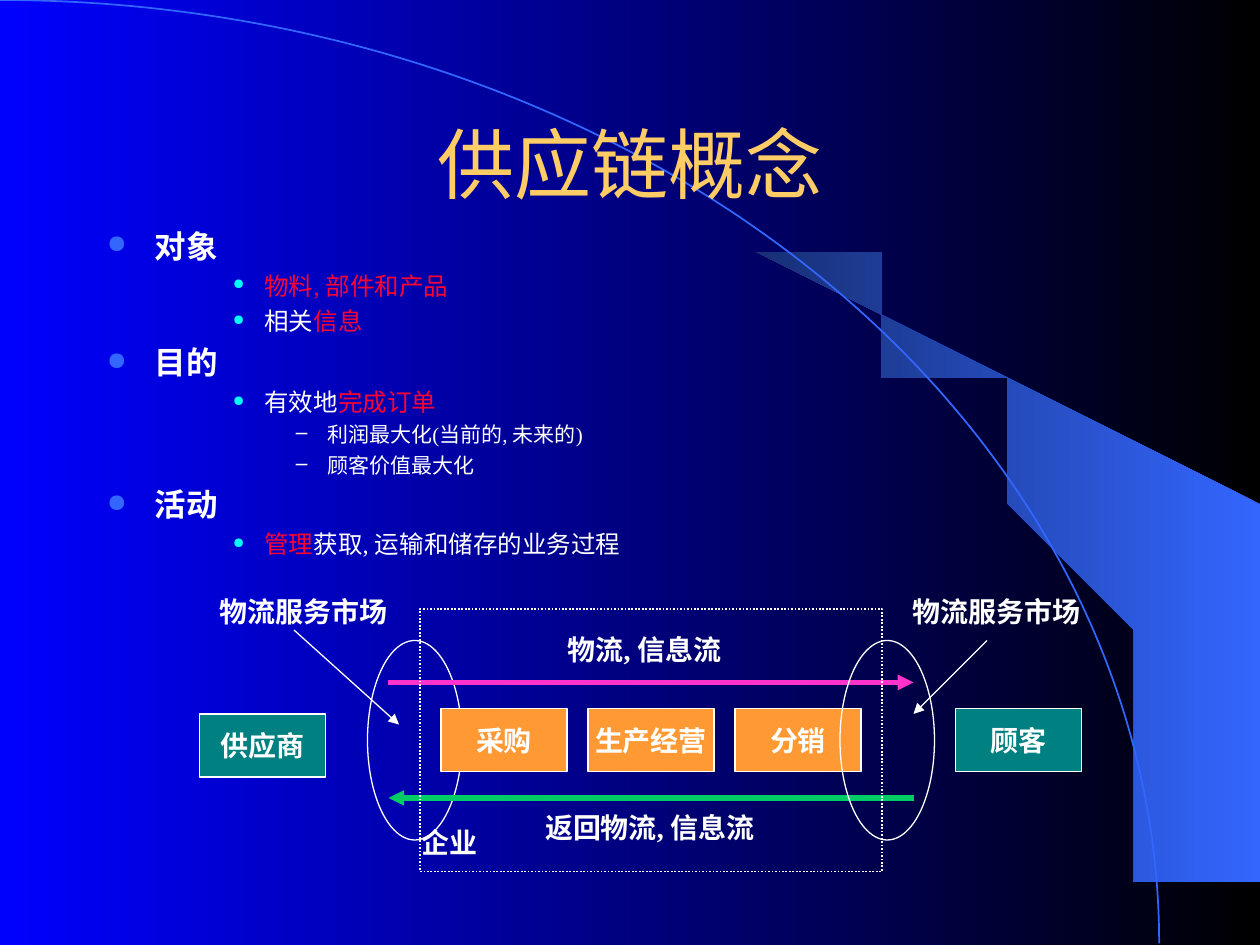
from pptx import Presentation
from pptx.dml.color import RGBColor
from pptx.enum.dml import MSO_LINE
from pptx.enum.shapes import MSO_CONNECTOR, MSO_SHAPE
from pptx.enum.text import MSO_ANCHOR, MSO_AUTO_SIZE, PP_ALIGN
from pptx.oxml.ns import qn
from pptx.util import Inches, Pt
from lxml import etree

RECTANGLE, OVAL, ARC = MSO_SHAPE.RECTANGLE, MSO_SHAPE.OVAL, MSO_SHAPE.ARC
STRAIGHT = MSO_CONNECTOR.STRAIGHT
DOTTED = MSO_LINE.ROUND_DOT
CENTER, MIDDLE = PP_ALIGN.CENTER, MSO_ANCHOR.MIDDLE
GROW = MSO_AUTO_SIZE.SHAPE_TO_FIT_TEXT

BLACK = RGBColor(0x00, 0x00, 0x00)
WHITE = RGBColor(0xFF, 0xFF, 0xFF)
BLUE = RGBColor(0x00, 0x00, 0xFF)
SKY = RGBColor(0x33, 0x66, 0xFF)
NAVY = RGBColor(0x17, 0x2F, 0x75)
GOLD = RGBColor(0xFF, 0xCC, 0x66)
RED = RGBColor(0xFF, 0x00, 0x33)
CYAN = RGBColor(0x00, 0xFF, 0xFF)
TEAL = RGBColor(0x00, 0x80, 0x80)
ORANGE = RGBColor(0xFF, 0x99, 0x33)
PINK = RGBColor(0xFF, 0x33, 0xCC)
GREEN = RGBColor(0x00, 0xCC, 0x66)

SERIF, SANS = "Times New Roman", "Arial"
COLUMNS, ROWS = 120, 90  # twelve grid cells to the inch
CELL = Inches(10) // COLUMNS

HEADING = {"size": Pt(18), "bold": True, "name": SERIF}
POINT = {"size": Pt(14), "bold": False, "name": SERIF}
DETAIL = {"size": Pt(12), "bold": False, "name": SERIF}
LABEL = {"size": Pt(16), "bold": True, "name": SERIF}
TITLE = {"size": Pt(44), "bold": False, "name": SANS}

# level: font, left margin, hanging indent, space before, bullet, colour, percent
LEVELS = {
    0: (HEADING, 0.38, 0.38, 4.5, "●", SKY, 80),
    2: (POINT, 1.25, 0.25, 3.5, "●", CYAN, 60),
    3: (DETAIL, 1.75, 0.25, 3, "–", WHITE, 100),
}
OUTLINE = [
    (0, [("对象", WHITE)]),
    (2, [("物料, 部件和产品", RED)]),
    (2, [("相关", WHITE), ("信息", RED)]),
    (0, [("目的", WHITE)]),
    (2, [("有效地", WHITE), ("完成订单", RED)]),
    (3, [("利润最大化(当前的, 未来的)", WHITE)]),
    (3, [("顾客价值最大化", WHITE)]),
    (0, [("活动", WHITE)]),
    (2, [("管理", RED), ("获取, 运输和储存的业务过程", WHITE)]),
]
# Inner edge of the sweep, in inches, from its lower end and around
SWEEP = [
    (9.2, 7.48), (9.99, 7.49), (9.99, 4.23), (5.89, 1.73), (6.24, 1.99),
    (6.53, 2.22), (6.85, 2.5), (7.16, 2.8), (7.62, 3.3), (8.03, 3.84),
    (8.32, 4.31), (8.58, 4.79), (8.78, 5.28), (8.93, 5.72), (9.03, 6.09),
    (9.13, 6.56), (9.17, 6.96),
]


def grid(*lengths):
    return [round(length * CELL) for length in lengths]


def add_run(paragraph, text, style, color):
    run = paragraph.add_run()
    run.text = text
    for name, value in style.items():
        setattr(run.font, name, value)
    run.font.color.rgb = color


def set_gradient(fill, start, end):
    fill.gradient()
    fill.gradient_angle = 180
    for stop, color, position in zip(fill.gradient_stops, (start, end), (0, 1)):
        stop.color.rgb = color
        stop.position = position


def add_figure(slide, kind, box, fill=None, line=WHITE, width=0.75):
    shape = slide.shapes.add_shape(kind, *grid(*box))
    shape.shadow.inherit = False
    if fill is None:
        shape.fill.background()
    else:
        shape.fill.solid()
        shape.fill.fore_color.rgb = fill
    shape.line.color.rgb = line
    shape.line.width = Pt(width)
    return shape


def write_centered(shape, text, style, color, wrap):
    frame = shape.text_frame
    frame.word_wrap = wrap
    frame.vertical_anchor = MIDDLE
    paragraph = frame.paragraphs[0]
    paragraph.alignment = CENTER
    add_run(paragraph, text, style, color)


def add_box(slide, text, left, top, fill):
    shape = add_figure(slide, RECTANGLE, (left, top, 12, 6), fill)
    write_centered(shape, text, LABEL, WHITE, False)


def add_label(slide, text, left, top, width, wrap=False):
    shape = slide.shapes.add_textbox(*grid(left, top, width, 4.4))
    write_centered(shape, text, LABEL, WHITE, wrap)
    shape.text_frame.auto_size = GROW


def add_arrow(slide, start, end, color=WHITE, width=0.75):
    arrow = slide.shapes.add_connector(STRAIGHT, *grid(*start, *end))
    arrow.line.color.rgb = color
    arrow.line.width = Pt(width)
    etree.SubElement(arrow.line._get_or_add_ln(), qn("a:tailEnd"), type="triangle")
    etree.SubElement(arrow._element.spPr, qn("a:effectLst"))


def set_bullet(paragraph, character, color, percent, margin, hanging):
    properties = paragraph._p.get_or_add_pPr()
    properties.set("marL", str(Inches(margin)))
    properties.set("indent", str(-Inches(hanging)))
    bullet_color = etree.SubElement(properties, qn("a:buClr"))
    etree.SubElement(bullet_color, qn("a:srgbClr"), val=str(color))
    etree.SubElement(properties, qn("a:buSzPct"), val=str(percent * 1000))
    etree.SubElement(properties, qn("a:buChar"), char=character)


def add_backdrop(slide):
    set_gradient(slide.background.fill, BLACK, BLUE)
    builder = slide.shapes.build_freeform(*SWEEP[0], scale=Inches(1))
    builder.add_line_segments(SWEEP[1:], close=True)
    sweep = builder.convert_to_shape()
    sweep.shadow.inherit = False
    set_gradient(sweep.fill, SKY, NAVY)
    sweep.line.fill.background()
    # Quarter arc centred on the lower left corner
    add_figure(slide, ARC, (-110.4, 0, 220.8, 179.7), line=SKY, width=1)


def add_outline(slide):
    frame = slide.shapes.add_textbox(*grid(9, 21, 102, 54)).text_frame
    frame.word_wrap = True
    for index, (level, runs) in enumerate(OUTLINE):
        style, margin, hanging, space, character, color, percent = LEVELS[level]
        paragraph = frame.add_paragraph() if index else frame.paragraphs[0]
        paragraph.level = level
        set_bullet(paragraph, character, color, percent, margin, hanging)
        if index:
            paragraph.space_before = Pt(space)
        for text, run_color in runs:
            add_run(paragraph, text, style, run_color)


def add_chain(slide):
    # Partners outside the company
    add_box(slide, "供应商", 19, 68, TEAL)
    add_box(slide, "顾客", 91, 67.5, TEAL)
    add_figure(slide, OVAL, (35, 61, 9, 19))

    # Company steps and the flows around them
    for index, step in enumerate(("采购", "生产经营", "分销")):
        add_box(slide, step, 42 + 14 * index, 67.5, ORANGE)
    add_arrow(slide, (37, 65), (87, 65), PINK, 3)
    add_arrow(slide, (87, 76), (37, 76), GREEN, 3)
    add_label(slide, "物流, 信息流", 51, 59.6, 20.8, True)
    add_label(slide, "返回物流, 信息流", 50, 76.6, 23.8, True)
    company = add_figure(slide, RECTANGLE, (40, 58, 44, 25), width=1)
    company.line.dash_style = DOTTED
    add_label(slide, "企业", 39, 78, 7.7)
    add_figure(slide, OVAL, (80, 61, 9, 19))

    # Service markets at both ends
    for left, start, end in ((85.7, (94, 61), (87, 68)), (19.7, (28, 60), (38, 69))):
        add_label(slide, "物流服务市场", left, 56, 18.4)
        add_arrow(slide, start, end)


def main():
    presentation = Presentation()
    presentation.slide_width = COLUMNS * CELL
    presentation.slide_height = ROWS * CELL
    slide = presentation.slides.add_slide(presentation.slide_layouts[6])
    add_backdrop(slide)
    title = slide.shapes.add_textbox(*grid(9, 8, 102, 15))
    write_centered(title, "供应链概念", TITLE, GOLD, True)
    add_outline(slide)
    add_chain(slide)
    presentation.save("out.pptx")


if __name__ == "__main__":
    main()
